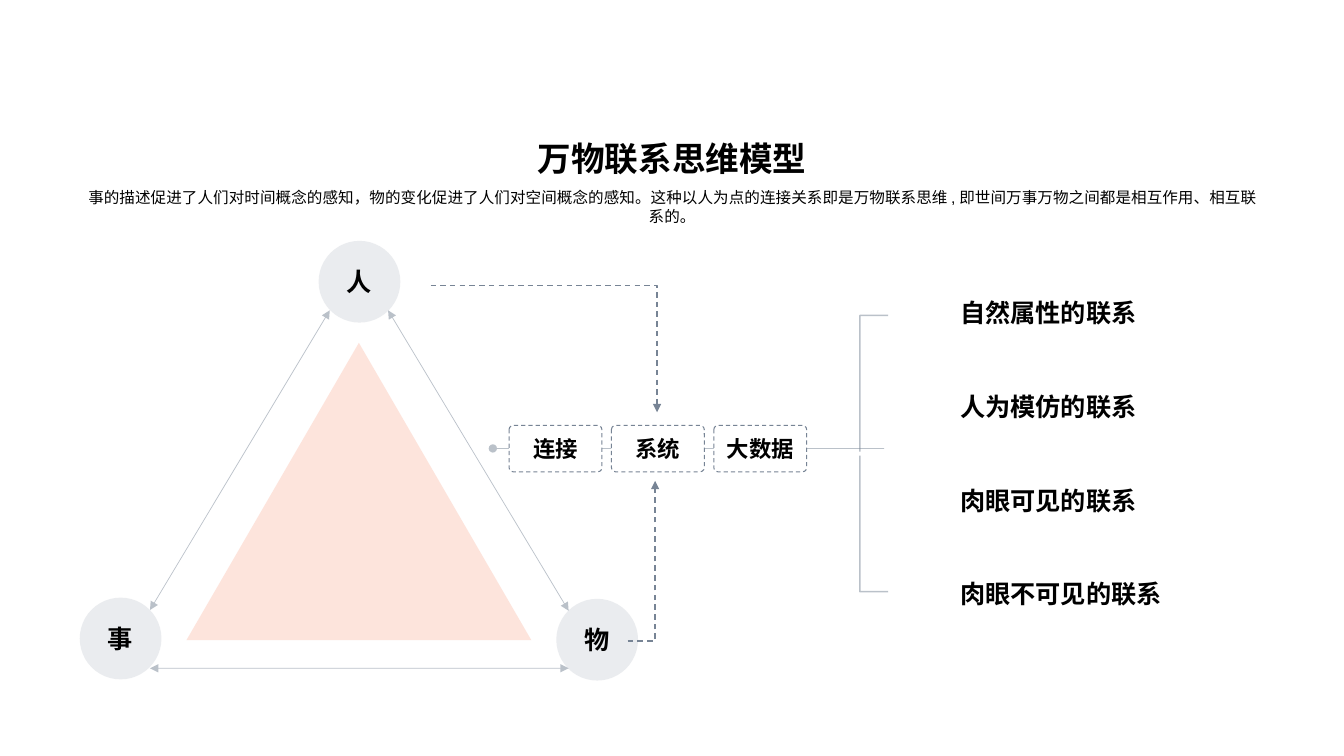
import dataclasses
import typing

import lxml.etree
import pptx
import pptx.dml.color
import pptx.dml.line
import pptx.enum.dml
import pptx.enum.lang
import pptx.enum.shapes
import pptx.enum.text
import pptx.oxml
import pptx.oxml.ns
import pptx.util

Cm = pptx.util.Cm
SHAPE = pptx.enum.shapes.MSO_SHAPE
CONNECTOR = pptx.enum.shapes.MSO_CONNECTOR
ANCHOR = pptx.enum.text.MSO_ANCHOR
ALIGN = pptx.enum.text.PP_ALIGN
DASH = pptx.enum.dml.MSO_LINE

COLORS = {"slate": "778495", "orange": "F54E1A", "white": "FFFFFF", "black": "000000"}
TINT = 15
FONT = "Arial"


@dataclasses.dataclass
class Block:
    kind: typing.Any
    left: float
    top: float
    width: float
    height: float
    fill: str
    opacity: int = 100
    corner: typing.Optional[float] = None
    dashed: bool = False


@dataclasses.dataclass
class Label:
    text: str
    size: float
    bold: bool = True
    align: typing.Any = ALIGN.CENTER
    anchor: typing.Any = ANCHOR.MIDDLE
    wrap: bool = True


@dataclasses.dataclass
class Link:
    start: tuple[float, float]
    end: tuple[float, float]
    weight: float = 0.5
    opacity: int = 50
    head: str = ""
    tail: str = ""
    bend: typing.Optional[int] = None
    dashed: bool = False


def rgb(name: str) -> pptx.dml.color.RGBColor:
    return pptx.dml.color.RGBColor.from_string(COLORS[name])


def set_opacity(parent: typing.Any, percent: int) -> None:
    if percent < 100:
        color = parent.find(".//" + pptx.oxml.ns.qn("a:srgbClr"))
        alpha = lxml.etree.SubElement(color, pptx.oxml.ns.qn("a:alpha"))
        alpha.set("val", str(percent * 1000))


def style_line(line: pptx.dml.line.LineFormat, weight: float, dashed: bool) -> None:
    line.color.rgb = rgb("slate")
    line.width = pptx.util.Pt(weight)
    line.dash_style = DASH.DASH if dashed else DASH.SOLID


def write(shape: typing.Any, label: Label) -> None:
    frame = shape.text_frame
    frame.word_wrap = label.wrap
    frame.vertical_anchor = label.anchor
    para = frame.paragraphs[0]
    para.text = label.text
    para.alignment = label.align
    font = para.font
    font.name = FONT
    font.size = pptx.util.Pt(label.size)
    font.bold = label.bold
    font.color.rgb = rgb("black")
    font.language_id = pptx.enum.lang.MSO_LANGUAGE_ID.SIMPLIFIED_CHINESE


def draw_block(page: typing.Any, block: Block, label: typing.Optional[Label] = None) -> None:
    shape = page.shapes.add_shape(
        block.kind, Cm(block.left), Cm(block.top), Cm(block.width), Cm(block.height)
    )
    shape.shadow.inherit = False
    shape.fill.solid()
    shape.fill.fore_color.rgb = rgb(block.fill)
    set_opacity(shape.element.spPr, block.opacity)
    if block.corner is not None:
        shape.adjustments[0] = block.corner
    if block.dashed:
        style_line(shape.line, 0.75, True)
    else:
        shape.line.fill.background()
    if label is not None:
        write(shape, label)


def draw_link(page: typing.Any, link: Link) -> None:
    kind = CONNECTOR.STRAIGHT if link.bend is None else CONNECTOR.ELBOW
    connector = page.shapes.add_connector(kind, *map(Cm, link.start + link.end))
    style_line(connector.line, link.weight, link.dashed)
    properties = connector.element.spPr
    outline = properties.find(pptx.oxml.ns.qn("a:ln"))
    set_opacity(outline, link.opacity)
    for tag, end in (("a:headEnd", link.head), ("a:tailEnd", link.tail)):
        if end:
            lxml.etree.SubElement(outline, pptx.oxml.ns.qn(tag)).set("type", end)
    if link.bend is not None:
        guides = properties.find(".//" + pptx.oxml.ns.qn("a:avLst"))
        guide = lxml.etree.SubElement(guides, pptx.oxml.ns.qn("a:gd"))
        guide.set("name", "adj1")
        guide.set("fmla", f"val {link.bend * 1000}")
    lxml.etree.SubElement(properties, pptx.oxml.ns.qn("a:effectLst"))


def draw_text(page: typing.Any, top: float, height: float, label: Label) -> None:
    box = page.shapes.add_textbox(Cm(1.85), Cm(top), Cm(30.18), Cm(height))
    write(box, label)


NODES = (("人", 8.03, 6.07), ("事", 2.01, 15.06), ("物", 14.02, 15.09))
STAGES = ("连接", "系统", "大数据")
RELATIONS = ("自然属性的联系", "人为模仿的联系", "肉眼可见的联系", "肉眼不可见的联系")
SIDES = (
    ((8.31, 7.82), (3.78, 15.37)),
    ((9.78, 7.82), (14.33, 15.39)),
    ((3.78, 16.84), (14.33, 16.84)),
)
AXIS = Link((12.42, 11.3), (22.28, 11.3), head="oval")
BRACKETS = (
    Link((21.67, 11.48), (22.38, 14.91), weight=1, bend=0),
    Link((21.67, 11.38), (22.38, 7.95), weight=1, bend=0),
)
FLOWS = (((10.85, 7.19), (16.56, 10.39)), ((15.82, 16.15), (16.51, 12.12)))
SUMMARY = (
    "事的描述促进了人们对时间概念的感知，物的变化促进了人们对空间概念的感知。"
    "这种以人为点的连接关系即是万物联系思维,即世间万事万物之间都是相互作用、相互联系的。"
)

deck = pptx.Presentation()
deck.slide_width = Cm(33.87)
deck.slide_height = Cm(19.05)
page = deck.slides.add_slide(deck.slide_layouts[6])

draw_block(page, Block(SHAPE.ISOSCELES_TRIANGLE, 4.7, 8.64, 8.69, 7.49, "orange", TINT))
for name, left, top in NODES:
    node = Block(SHAPE.OVAL, left, top, 2.06, 2.06, "slate", TINT)
    draw_block(page, node, Label(name, 18, wrap=False))
for start, end in SIDES:
    draw_link(page, Link(start, end, head="triangle", tail="triangle"))
for link in (AXIS, *BRACKETS):
    draw_link(page, link)
for row, relation in enumerate(RELATIONS):
    card = Block(
        SHAPE.ROUNDED_RECTANGLE, 23.88, 6.63 + 2.36 * row, 8.13, 1.83, "white", TINT, 0.13
    )
    draw_block(page, card, Label(relation, 18, align=ALIGN.LEFT, anchor=ANCHOR.BOTTOM))
for column, stage in enumerate(STAGES):
    tile = Block(
        SHAPE.ROUNDED_RECTANGLE, 12.83 + 2.58 * column, 10.72, 2.34, 1.17, "white",
        corner=0.09, dashed=True,
    )
    draw_block(page, tile, Label(stage, 16))
for start, end in FLOWS:
    draw_link(page, Link(start, end, 1, 100, tail="triangle", bend=100, dashed=True))

draw_text(page, 3.15, 1.47, Label("万物联系思维模型", 24, anchor=ANCHOR.BOTTOM))
draw_text(page, 4.62, 1.14, Label(SUMMARY, 11.1, bold=False, anchor=ANCHOR.TOP))

deck.save("out.pptx")
